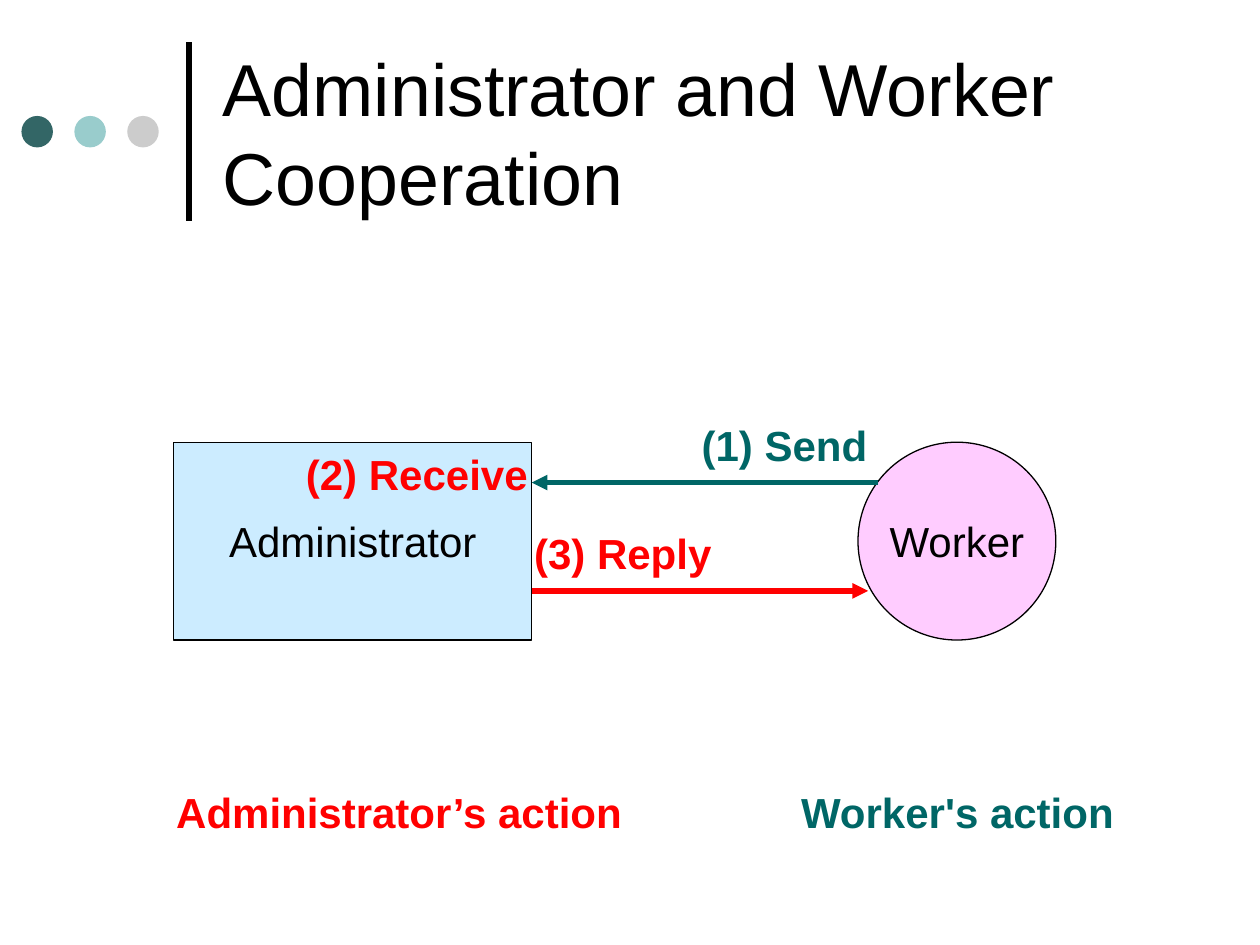
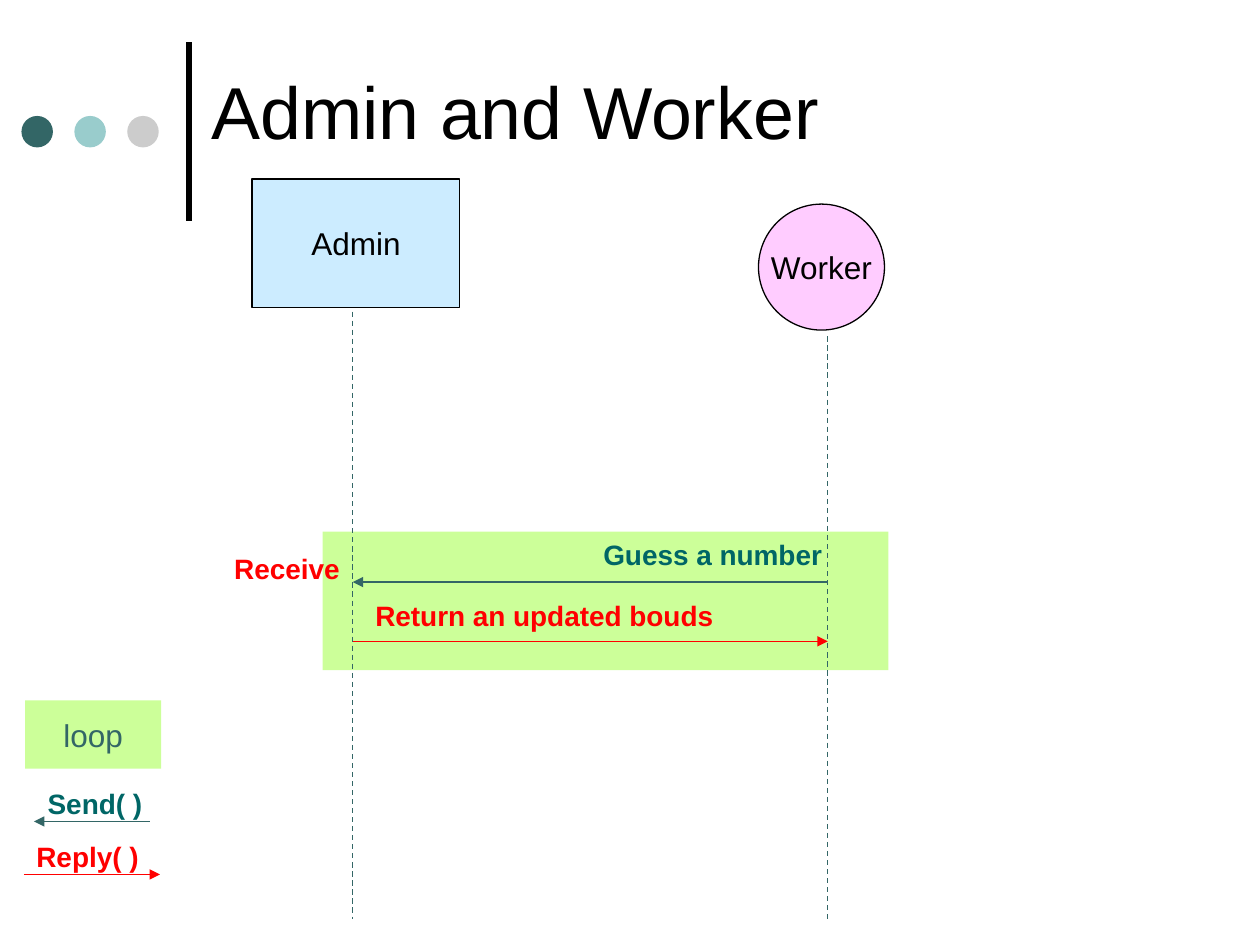
from lxml.etree import SubElement
from pptx import Presentation
from pptx.dml.color import RGBColor
from pptx.enum.dml import MSO_LINE
from pptx.enum.shapes import MSO_CONNECTOR, MSO_SHAPE
from pptx.enum.text import MSO_ANCHOR, MSO_AUTO_SIZE, PP_ALIGN
from pptx.oxml.ns import qn
from pptx.util import Inches, Pt

# The grid has 10 columns and 7.5 rows of square cells.
COLUMNS, ROWS = 10, 7.5
CELL = Inches(1)

FONT = "Arial"
BLACK = RGBColor(0x00, 0x00, 0x00)
SLATE = RGBColor(0x33, 0x66, 0x66)
AQUA = RGBColor(0x99, 0xCC, 0xCC)
SILVER = RGBColor(0xCC, 0xCC, 0xCC)
ADMIN_BLUE = RGBColor(0xCC, 0xEC, 0xFF)
WORKER_PINK = RGBColor(0xFF, 0xCC, 0xFF)
LOOP_GREEN = RGBColor(0xCC, 0xFF, 0x99)
ADMIN_ACTION = RGBColor(0xFF, 0x00, 0x00)
WORKER_ACTION = RGBColor(0x00, 0x66, 0x66)

TITLE_SIZE = 42
DOT_SIZE, DOT_PITCH = 0.25, 0.42
LABEL_SLACK = 0.04


def cells(*counts):
    return [round(count * CELL) for count in counts]


def write(frame, text, size, color, bold=False):
    run = frame.paragraphs[0].add_run()
    run.text = text
    run.font.name = FONT
    run.font.size = Pt(size)
    run.font.bold = bold
    run.font.color.rgb = color


def add_label(slide, text, col, row, width, size, color):
    """Bold action text on one line, with slack so that it never breaks."""
    height = 0.1 + size / 60
    box = cells(col, row, width + LABEL_SLACK, height)
    frame = slide.shapes.add_textbox(*box).text_frame
    frame.word_wrap = False
    frame.auto_size = MSO_AUTO_SIZE.SHAPE_TO_FIT_TEXT
    write(frame, text, size, color, bold=True)


def add_figure(slide, kind, col, row, width, height, fill, outline=None):
    figure = slide.shapes.add_shape(kind, *cells(col, row, width, height))
    figure.shadow.inherit = False
    figure.fill.solid()
    figure.fill.fore_color.rgb = fill
    if outline is None:
        figure.line.fill.background()
    else:
        figure.line.color.rgb = outline
        figure.line.width = Pt(0.75)
    return figure


def add_caption(figure, text, size, color=BLACK):
    frame = figure.text_frame
    frame.word_wrap = False
    frame.vertical_anchor = MSO_ANCHOR.MIDDLE
    frame.paragraphs[0].alignment = PP_ALIGN.CENTER
    write(frame, text, size, color)


def add_admin(slide, name, col, row, width, height, size):
    box = add_figure(slide, MSO_SHAPE.RECTANGLE, col, row, width, height,
                     ADMIN_BLUE, BLACK)
    add_caption(box, name, size)


def add_worker(slide, col, row, diameter, size):
    circle = add_figure(slide, MSO_SHAPE.OVAL, col, row, diameter, diameter,
                        WORKER_PINK, BLACK)
    add_caption(circle, "Worker", size)


def add_line(slide, start, end, color, weight=0.75):
    line = slide.shapes.add_connector(MSO_CONNECTOR.STRAIGHT,
                                      *cells(*start, *end))
    line.line.color.rgb = color
    line.line.width = Pt(weight)
    SubElement(line._element.spPr, qn("a:effectLst"))
    return line


def add_message(slide, start_col, end_col, row, color, weight=0.75):
    """Level arrow that points at end_col."""
    arrow = add_line(slide, (start_col, row), (end_col, row), color, weight)
    SubElement(arrow.line._get_or_add_ln(), qn("a:tailEnd"), type="triangle")


def add_lifeline(slide, col, top):
    lifeline = add_line(slide, (col, top), (col, 7.29), SLATE)
    lifeline.line.dash_style = MSO_LINE.DASH


def add_titled_slide(deck, title, col, row, height):
    slide = deck.slides.add_slide(deck.slide_layouts[6])
    add_line(slide, (1.5, 1.75), (1.5, 0.33), BLACK, 3)
    for index, color in enumerate((SLATE, AQUA, SILVER)):
        add_figure(slide, MSO_SHAPE.OVAL, 0.17 + index * DOT_PITCH, 0.92,
                   DOT_SIZE, DOT_SIZE, color)
    frame = slide.shapes.add_textbox(*cells(col, row, 7.67, height)).text_frame
    frame.word_wrap = True
    frame.vertical_anchor = MSO_ANCHOR.MIDDLE
    write(frame, title, TITLE_SIZE, BLACK)
    return slide


def build_cooperation(deck):
    slide = add_titled_slide(deck, "Administrator and Worker Cooperation",
                             1.67, 0.21, 1.67)
    top, height, size = 3.51, 1.57, 24
    admin_left, admin_width = 1.38, 2.84
    admin_edge = admin_left + admin_width
    add_worker(slide, 6.81, top, height, size)
    add_admin(slide, "Administrator", admin_left, top, admin_width, height, size)

    add_message(slide, 6.97, admin_edge, 3.83, WORKER_ACTION, 3)
    add_message(slide, admin_edge, 6.89, 4.69, ADMIN_ACTION, 3)
    for text, col, row, width, color in (
        ("(2) Receive", 2.33, top, 1.96, ADMIN_ACTION),
        ("(1) Send", 5.47, 3.28, 1.51, WORKER_ACTION),
        ("(3) Reply", 4.14, 4.14, 1.61, ADMIN_ACTION),
        ("Worker's action", 6.26, 6.19, 2.69, WORKER_ACTION),
        ("Administrator’s action", 1.3, 6.19, 3.74, ADMIN_ACTION),
    ):
        add_label(slide, text, col, row, width, size, color)


def add_legend(slide):
    loop = add_figure(slide, MSO_SHAPE.RECTANGLE, 0.2, 5.56, 1.08, 0.54,
                      LOOP_GREEN)
    add_caption(loop, "loop", 18, SLATE)
    add_message(slide, 1.19, 0.27, 6.52, SLATE)
    add_label(slide, "Send( )", 0.28, 6.19, 0.95, 16, WORKER_ACTION)
    add_message(slide, 0.19, 1.27, 6.94, ADMIN_ACTION)
    add_label(slide, "Reply( )", 0.19, 6.61, 1.01, 16, ADMIN_ACTION)


def build_sequence(deck):
    slide = add_titled_slide(deck, "Admin and Worker", 1.58, 0.25, 1.25)
    admin_col, worker_col = 2.8, 6.57
    add_figure(slide, MSO_SHAPE.RECTANGLE, 2.56, 4.22, 4.49, 1.1, LOOP_GREEN)
    add_lifeline(slide, admin_col, 2.33)
    add_worker(slide, 6.02, 1.62, 1, 18)
    add_lifeline(slide, worker_col, 2.67)
    add_admin(slide, "Admin", 2, 1.42, 1.65, 1.02, 18)

    add_message(slide, worker_col, admin_col, 4.62, SLATE)
    add_message(slide, admin_col, worker_col, 5.09, ADMIN_ACTION)
    add_label(slide, "Guess a number", 4.69, 4.22, 1.93, 16, WORKER_ACTION)
    add_label(slide, "Return an updated bouds", 2.88, 4.7, 2.88, 16,
              ADMIN_ACTION)
    add_label(slide, "Receive", 1.76, 4.33, 1.04, 16, ADMIN_ACTION)
    add_legend(slide)


def main():
    deck = Presentation()
    deck.slide_width, deck.slide_height = cells(COLUMNS, ROWS)
    build_cooperation(deck)
    build_sequence(deck)
    deck.save("out.pptx")


if __name__ == "__main__":
    main()
